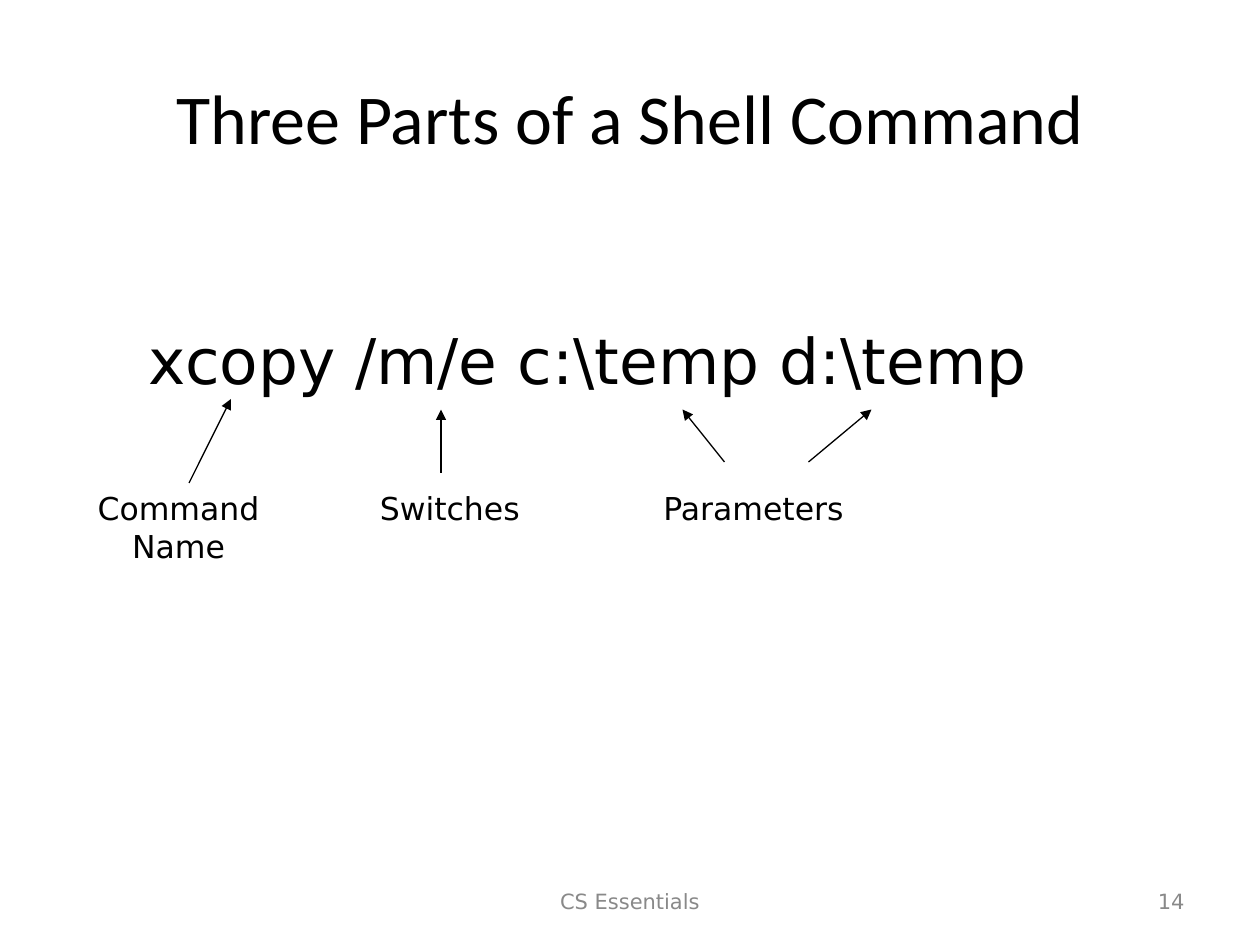
from lxml.etree import SubElement
from pptx import Presentation
from pptx.dml.color import RGBColor
from pptx.enum.shapes import MSO_CONNECTOR as CONNECTOR
from pptx.enum.text import MSO_ANCHOR as ANCHOR, PP_ALIGN as ALIGN
from pptx.oxml.ns import qn
from pptx.util import Pt

COLORS = {"ink": "000000", "muted": "898989"}
BODY_FONT = "DejaVu Sans"


def write(tf, text, size=18, font=BODY_FONT, color="ink", align=ALIGN.LEFT, anchor=ANCHOR.TOP):
    tf.word_wrap = True
    tf.vertical_anchor = anchor
    p = tf.paragraphs[0]
    p.alignment = align
    r = p.add_run()
    r.text = text
    r.font.size = Pt(size)
    r.font.name = font
    r.font.color.rgb = RGBColor.from_string(COLORS[color])


def add_text(s, box, text, **fmt):
    tb = s.shapes.add_textbox(*map(Pt, box))
    write(tb.text_frame, text, **fmt)


def add_arrow(s, start, end):
    line = s.shapes.add_connector(CONNECTOR.STRAIGHT, *map(Pt, start + end))
    line.line.color.rgb = RGBColor.from_string(COLORS["ink"])
    line.line.width = Pt(0.75)
    sp_pr = line._element.spPr
    SubElement(sp_pr.find(qn("a:ln")), qn("a:tailEnd"), type="triangle")
    SubElement(sp_pr, qn("a:effectLst"))


def add_title(s, box, text):
    title = s.shapes.title
    title.left, title.top, title.width, title.height = map(Pt, box)
    write(title.text_frame, text, size=40, font="Calibri",
          align=ALIGN.CENTER, anchor=ANCHOR.MIDDLE)


def add_command(s, box):
    """Place the command line with its labelled parts below it."""
    x, y, w, h = box
    add_text(s, (x + 36, y, w - 36, 50.4), r"xcopy /m/e c:\temp d:\temp", size=36)

    # Label, left offset, width, height, alignment
    labels = [
        ("Command Name", 0, 120, 50.4, ALIGN.CENTER),
        ("Switches", 168, 138, 28.8, ALIGN.LEFT),
        ("Parameters", 330, 240, 28.8, ALIGN.LEFT),
    ]
    for text, dx, width, height, align in labels:
        add_text(s, (x + dx, y + 96, width, height), text, align=align)

    # Start and end offsets of each arrow
    arrows = [
        ((66, 96), (90, 48)),
        ((210, 90), (210, 54)),
        ((372, 84), (348, 54)),
        ((420, 84), (456, 54)),
    ]
    for (x1, y1), (x2, y2) in arrows:
        add_arrow(s, (x + x1, y + y1), (x + x2, y + y2))


def add_footer(s, box, text, number):
    x, y, w, h = box
    fmt = {"size": 12, "color": "muted", "anchor": ANCHOR.MIDDLE}
    add_text(s, (x + (w - 228) / 2, y, 228, h), text, align=ALIGN.CENTER, **fmt)
    add_text(s, (x + w - 168, y, 168, h), number, align=ALIGN.RIGHT, **fmt)


def main():
    prs = Presentation()
    prs.slide_width, prs.slide_height = Pt(720), Pt(540)
    s = prs.slides.add_slide(prs.slide_layouts[5])
    add_title(s, (36, 21.6, 648, 90), "Three Parts of a Shell Command")
    add_command(s, (42, 180, 606, 146.4))
    add_footer(s, (36, 500.4, 648, 28.8), "CS Essentials", "14")
    prs.save("out.pptx")


if __name__ == "__main__":
    main()
